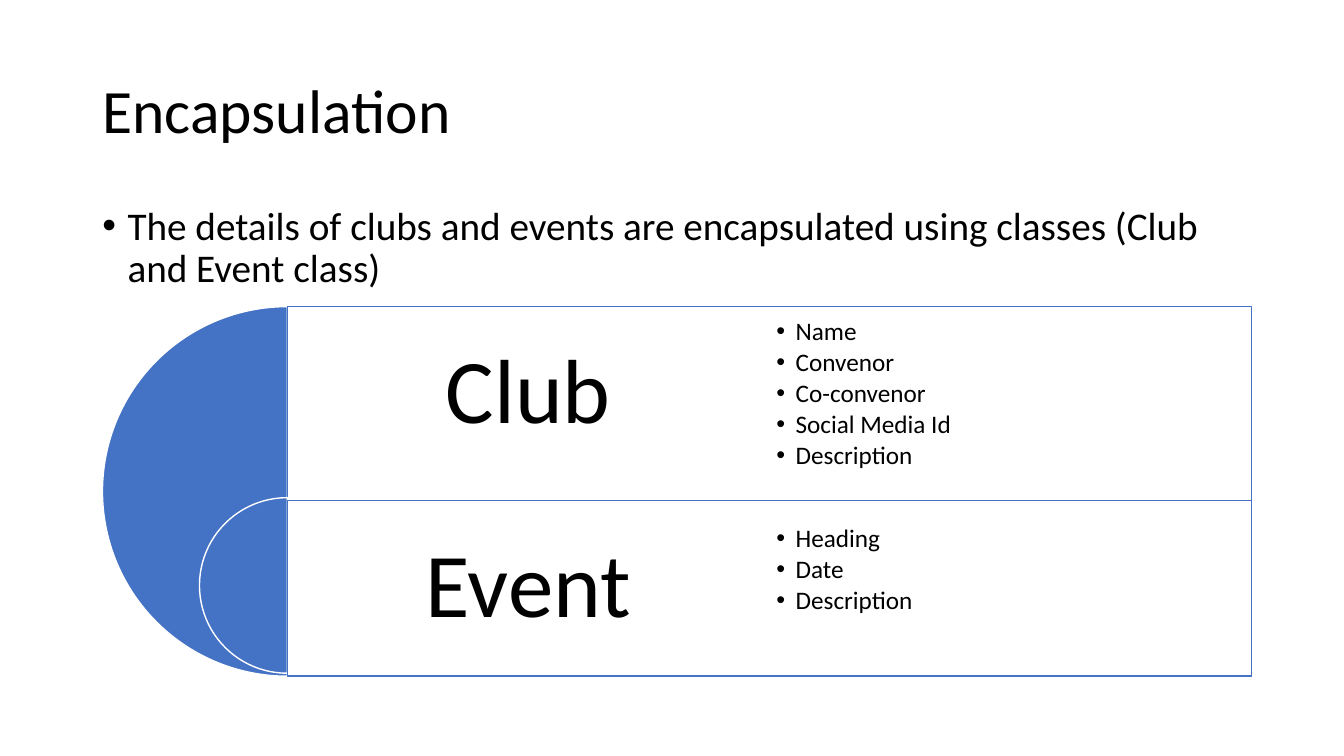
import pptx
import pptx.util
import pptx.dml.color
import pptx.enum.shapes
import pptx.enum.text
import pptx.oxml.ns
import lxml.etree

KIND = pptx.enum.shapes.MSO_SHAPE
ALIGN = pptx.enum.text.PP_ALIGN
ANCHOR = pptx.enum.text.MSO_ANCHOR


def tint(code):
    return pptx.dml.color.RGBColor.from_string(code)


def tag(parent, name, **attrs):
    return lxml.etree.SubElement(parent, pptx.oxml.ns.qn(name), attrs)


def put(target, values):
    for name, value in values.items():
        setattr(target, name, value)


class Deck:
    """Draws styled elements on one slide with a grid of 160 columns by 90 rows."""

    font = "Calibri"
    ink = "000000"
    paper = "FFFFFF"
    blue = "4472C4"

    def __init__(self):
        self.file = pptx.Presentation()
        put(self.file, {"slide_width": pptx.util.Inches(13.333),
                        "slide_height": pptx.util.Inches(7.5)})
        self.slide = self.file.slides.add_slide(self.file.slide_layouts[6])

    def place(self, col, row, wide, high):
        across = self.file.slide_width / 160
        down = self.file.slide_height / 90
        return [round(n) for n in (col * across, row * down, wide * across, high * down)]

    def shape(self, kind, box, fill, edge, angles=(), alpha=None):
        item = self.slide.shapes.add_shape(kind, *self.place(*box))
        item.shadow.inherit = False
        for index, angle in enumerate(angles):
            item.adjustments[index] = angle
        item.fill.solid()
        item.fill.fore_color.rgb = tint(fill)
        if alpha:
            color = item.fill._xPr.find(".//" + pptx.oxml.ns.qn("a:srgbClr"))
            tag(color, "a:alpha", val=str(alpha * 1000))
        item.line.color.rgb = tint(edge)
        item.line.width = pptx.util.Pt(1)

    def pie(self, col, row, size):
        self.shape(KIND.PIE, (col, row, size, size), self.blue, self.paper, (54, 162))

    def panel(self, *box):
        self.shape(KIND.RECTANGLE, box, self.paper, self.blue, alpha=90)

    def text(self, box, lines, size, anchor=ANCHOR.MIDDLE, inset=None,
             indent=0, **form):
        frame = self.slide.shapes.add_textbox(*self.place(*box)).text_frame
        put(frame, {"word_wrap": True, "vertical_anchor": anchor})
        if inset:
            for side in ("left", "right", "top", "bottom"):
                setattr(frame, "margin_" + side, pptx.util.Inches(inset))
        for index, line in enumerate(lines):
            para = frame.paragraphs[0] if index == 0 else frame.add_paragraph()
            put(para, {"line_spacing": 0.9, **form})
            run = para.add_run()
            run.text = line
            put(run.font, {"name": self.font, "size": pptx.util.Pt(size)})
            run.font.color.rgb = tint(self.ink)
            if indent:
                self.bullet(para, pptx.util.Inches(indent))

    def bullet(self, para, indent):
        props = para._p.get_or_add_pPr()
        props.set("marL", str(indent))
        props.set("indent", str(-indent))
        tag(props, "a:buFont", typeface="Arial")
        tag(props, "a:buChar", char="•")

    def label(self, box, word):
        self.text(box, [word], 65, inset=0.27, alignment=ALIGN.CENTER)

    def items(self, box, lines):
        self.text(box, lines, 18, inset=0.07, indent=0.19, level=1,
                  space_after=pptx.util.Pt(2.7))


def main():
    deck = Deck()
    deck.text((11, 4.8, 138, 17.4), ["Encapsulation"], 44)
    deck.text((11, 24, 138, 57.1),
              ["The details of clubs and events are encapsulated using classes "
               "(Club and Event class)"],
              28, ANCHOR.TOP, indent=0.25, space_before=pptx.util.Pt(10))

    left, top, full, band = 34.2, 36.5, 44, 20.9
    half = 57.4
    base = top + full
    rows = [
        ("Club", full, 0,
         ["Name", "Convenor", "Co-convenor", "Social Media Id", "Description"]),
        ("Event", band, 0.35, ["Heading", "Date", "Description"]),
    ]
    for word, high, lift, _ in rows:
        deck.pie(left - high / 2, base - high - lift, high)
        deck.panel(left, base - high, 2 * half, high)
        deck.label((left, base - high, half, band), word)
    for index, (_, _, _, lines) in enumerate(rows):
        deck.items((left + half, top + index * band, half, band), lines)

    deck.file.save("out.pptx")


if __name__ == "__main__":
    main()
